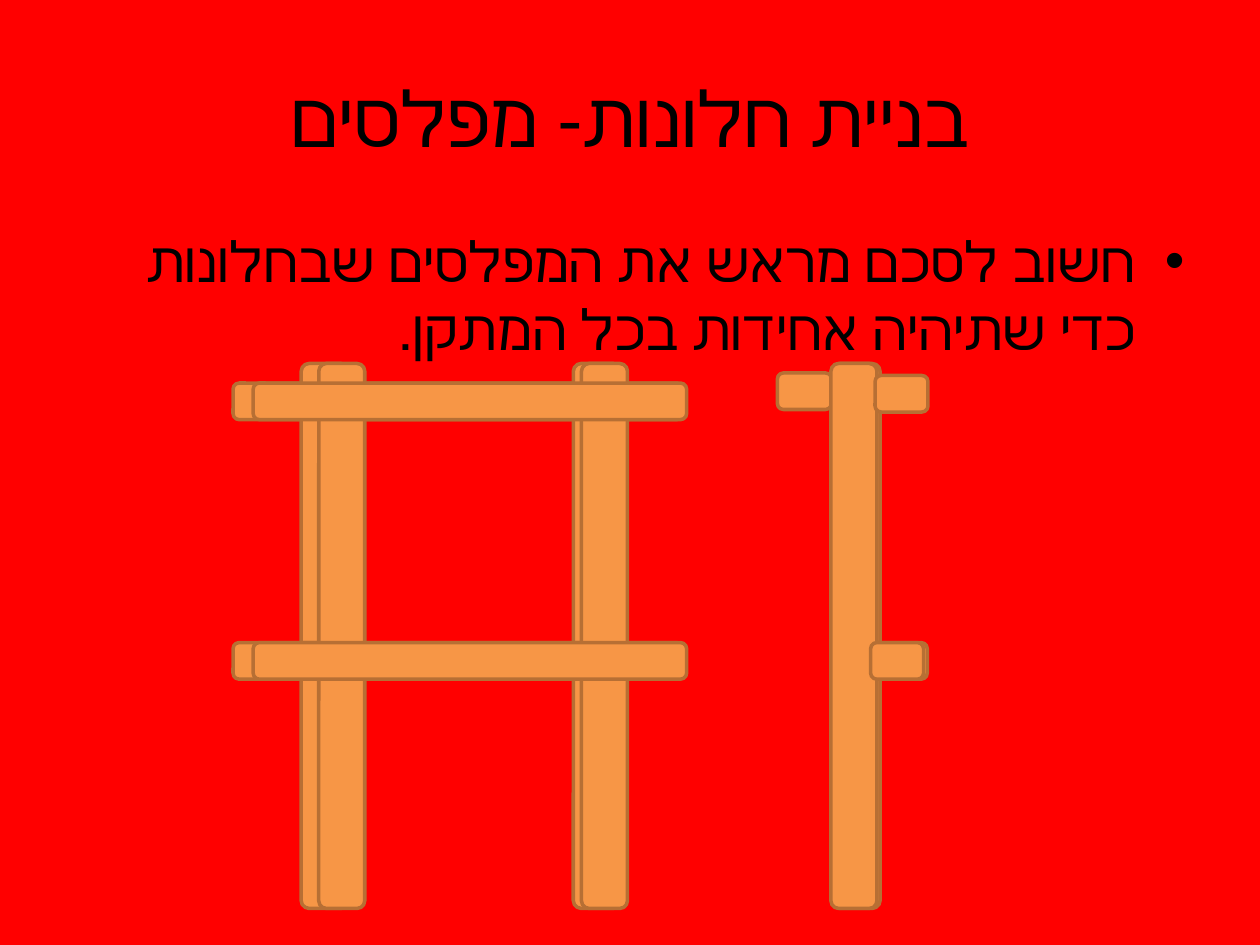
from typing import NamedTuple

from lxml import etree
from pptx import Presentation
from pptx import util as u
from pptx.dml.color import RGBColor
from pptx.enum import shapes, text
from pptx.oxml.ns import qn

COLUMNS, ROWS = 100, 75
FONT = "Calibri"
WOOD, EDGE, INK, BACKGROUND = "F79646", "B76F34", "000000", "FF0000"


class Area(NamedTuple):
    """Left, top, width and height in grid columns and rows."""
    left: float
    top: float
    width: float
    height: float


def post(left: float, width: float) -> Area:
    return Area(left, 28.85, width, 43.25)


def beam(left: float, top: float, width: float) -> Area:
    return Area(left, top, width, 2.9)


BACK_FRAME = [
    beam(18.5, 30.4, 35.7), post(23.9, 3.8), post(45.5, 3.8),
    beam(18.5, 51, 35.7), post(66.05, 3.8), beam(69.3, 51, 4.3),
    beam(61.7, 29.6, 4.3),
]
FRONT_FRAME = [
    post(25.3, 3.65), post(46.15, 3.65), beam(20.1, 51, 34.4),
    post(65.95, 3.65), beam(69.1, 51, 4.2), beam(69.45, 29.8, 4.2),
    beam(20.1, 30.4, 34.4),
]

deck = Presentation()
deck.slide_width, deck.slide_height = u.Inches(10), u.Inches(7.5)


def color(value: str) -> RGBColor:
    return RGBColor.from_string(value)


def place(area: Area) -> tuple[int, int, int, int]:
    column, row = deck.slide_width / COLUMNS, deck.slide_height / ROWS
    return (round(area.left * column), round(area.top * row),
            round(area.width * column), round(area.height * row))


def write(box, area: Area, words: str, *, size: float, align, anchor,
          bullet: str = "", indent: float = 0) -> None:
    """Place a box and fill it with one right-to-left paragraph."""
    box.left, box.top, box.width, box.height = place(area)
    frame = box.text_frame
    frame.word_wrap = True
    frame.auto_size = text.MSO_AUTO_SIZE.NONE
    frame.vertical_anchor = anchor
    para = frame.paragraphs[0]
    para.alignment = align
    para.space_before = u.Pt(0)
    properties = para._p.get_or_add_pPr()
    properties.set("rtl", "1")
    if bullet:
        properties.set("marL", str(u.Inches(indent)))
        properties.set("indent", str(-u.Inches(indent)))
        etree.SubElement(properties, qn("a:buFont"), typeface="Arial")
        etree.SubElement(properties, qn("a:buChar"), char=bullet)
    span = para.add_run()
    span.text = words
    span.font.name = FONT
    span.font.size = u.Pt(size)
    span.font.color.rgb = color(INK)


def draw_frame(page, planks: list[Area]) -> None:
    group = page.shapes.add_group_shape()
    for area in planks:
        plank = group.shapes.add_shape(
            shapes.MSO_SHAPE.ROUNDED_RECTANGLE, *place(area))
        plank.shadow.inherit = False
        plank.fill.solid()
        plank.fill.fore_color.rgb = color(WOOD)
        plank.line.color.rgb = color(EDGE)
        plank.line.width = u.Pt(2)


def main() -> None:
    page = deck.slides.add_slide(deck.slide_layouts[1])
    page.background.fill.solid()
    page.background.fill.fore_color.rgb = color(BACKGROUND)

    write(page.shapes.title, Area(5, 3, 90, 12.5), "בניית חלונות- מפלסים",
          size=44, align=text.PP_ALIGN.CENTER, anchor=text.MSO_ANCHOR.MIDDLE)
    write(page.placeholders[1], Area(5, 17.5, 90, 49.5),
          "חשוב לסכם מראש את המפלסים שבחלונות כדי שתיהיה אחידות בכל המתקן.",
          size=32, align=text.PP_ALIGN.RIGHT, anchor=text.MSO_ANCHOR.TOP,
          bullet="•", indent=0.38)

    for planks in (BACK_FRAME, FRONT_FRAME):
        draw_frame(page, planks)
    deck.save("out.pptx")


if __name__ == "__main__":
    main()
